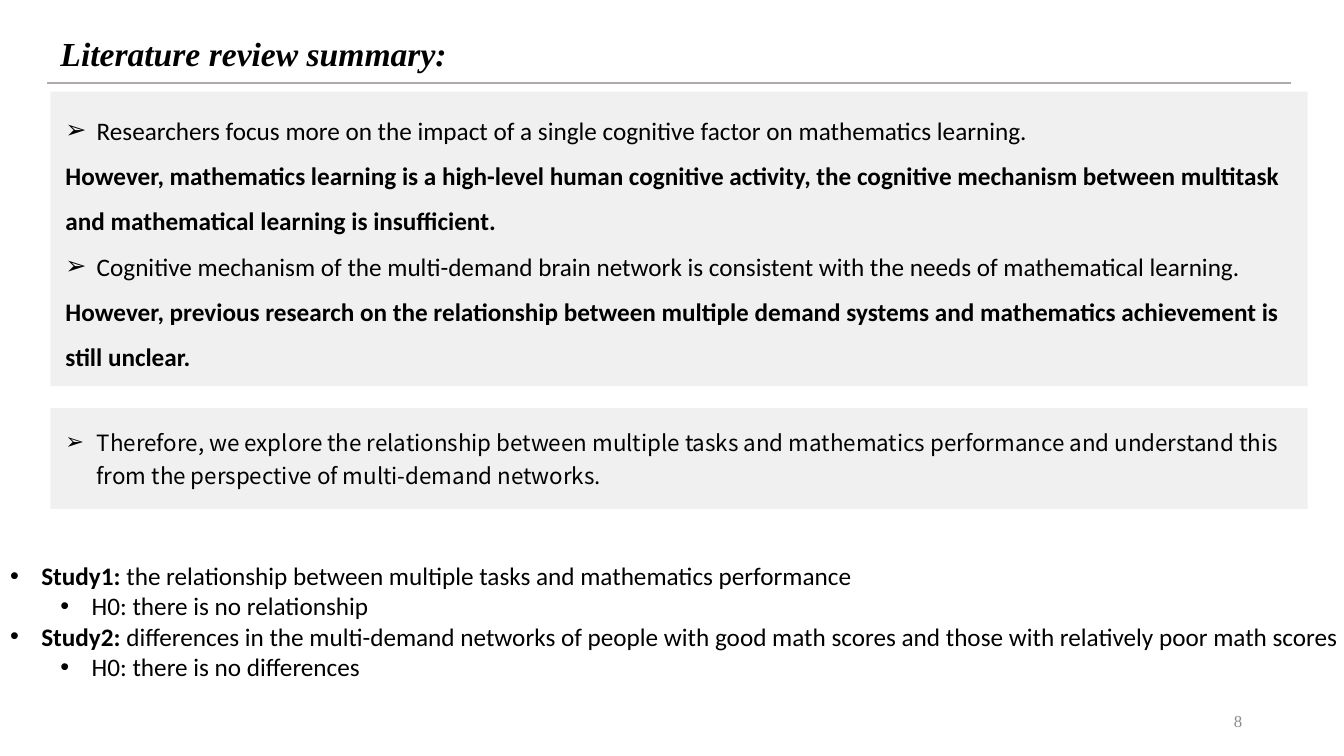
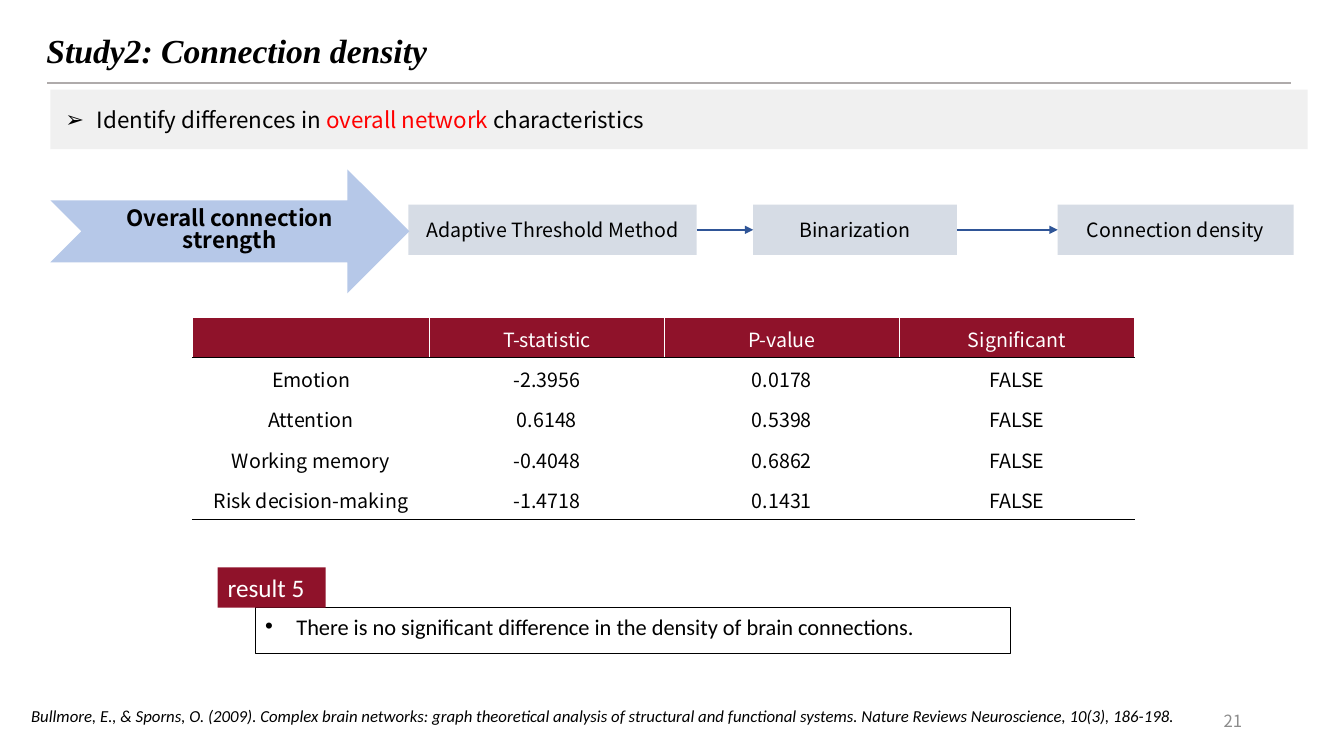
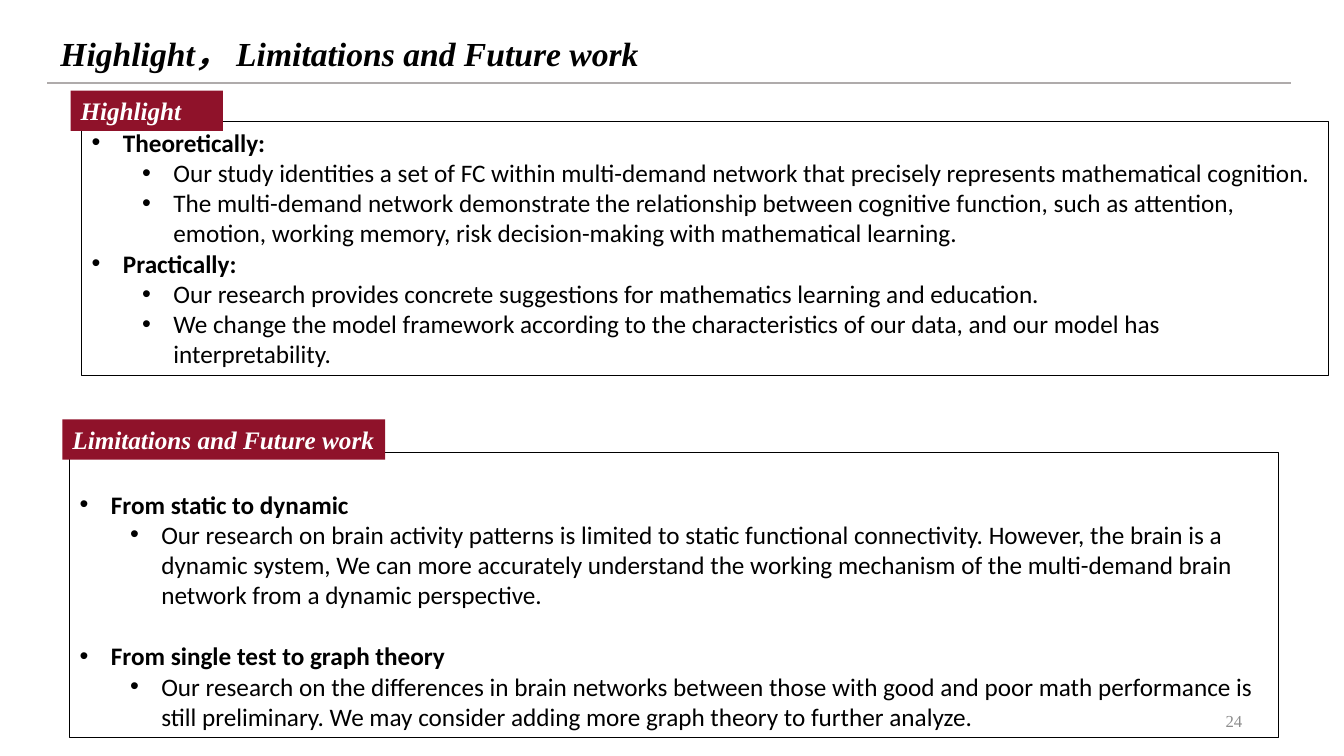
from dataclasses import dataclass, replace
from typing import NamedTuple, Optional

from lxml.etree import SubElement
from pptx import Presentation
from pptx.dml.color import RGBColor
from pptx.enum.shapes import MSO_CONNECTOR, MSO_SHAPE
from pptx.enum.text import MSO_ANCHOR, MSO_AUTO_SIZE, PP_ALIGN
from pptx.oxml.ns import qn
from pptx.util import Inches, Pt

BLACK, WHITE, RED = "000000", "FFFFFF", "FF0000"
CRIMSON, PANEL, STEP, ARROW = "8F122A", "F0F0F0", "D6DCE5", "B6C8E8"
RULE, LINK, PAGE = "AFABAB", "2F5597", "8C8C8C"
SERIF, SANS, NOTO = "Times New Roman", "Calibri", "Noto Sans CJK SC"
DOT, POINTER = "•", "➢"
HANGING = 0.31
BLANK_LINE = 22
TEXT_MARGINS = (0.1, 0.05, 0.1, 0.05)
LOWERED_MARGINS = (0.1, 0.36, 0.05, 0.05)
PANEL_MARGINS = (0.15, 0.09, 0.15, 0.15)
CELL_MARGINS = (0.01, 0.01, 0.01, 0.05)


class Box(NamedTuple):
    left: float
    top: float
    width: float
    height: float


@dataclass(frozen=True)
class Style:
    size: int
    font: str
    color: str = BLACK
    bold: bool = False
    italic: bool = False


class Fragment(NamedTuple):
    text: str
    bold: bool = False
    color: Optional[str] = None


@dataclass(frozen=True)
class Item:
    fragments: tuple[Fragment, ...]
    bullet: str = DOT
    level: int = 0
    space_before: int = 0


class Step(NamedTuple):
    text: str
    left: float
    width: float


TITLE = Style(24, SERIF, bold=True, italic=True)
BODY = Style(18, SANS)
SMALL_BODY = Style(16, SANS)
STATEMENT = Style(16, NOTO)
DETAIL = Style(14, NOTO)
SERIF_LABEL = Style(18, SERIF, WHITE, bold=True, italic=True)
PLAIN_LABEL = Style(18, SANS, WHITE)
REFERENCE = Style(12, SANS, italic=True)

FINDINGS = [
    Item((Fragment("Researchers focus more on the impact of a single cognitive factor on mathematics learning."),), POINTER),
    Item((Fragment("However, mathematics learning is a high-level human cognitive activity, the cognitive mechanism between multitask and mathematical learning is insufficient.", True),), ""),
    Item((Fragment("Cognitive mechanism of the multi-demand brain network is consistent with the needs of mathematical learning."),), POINTER),
    Item((Fragment("However, previous research on the relationship between multiple demand systems and mathematics achievement is still unclear.", True),), ""),
]
AIM = [Item((Fragment("Therefore, we explore the relationship between multiple tasks and mathematics performance and understand this from the perspective of multi-demand networks."),), POINTER)]
STUDIES = [
    Item((Fragment("Study1: ", True), Fragment("the relationship between multiple tasks and mathematics performance"))),
    Item((Fragment("H0: there is no relationship"),), level=1),
    Item((Fragment("Study2: ", True), Fragment("differences in the multi-demand networks of people with good math scores and those with relatively poor math scores"))),
    Item((Fragment("H0: there is no differences"),), level=1),
]
GOAL = [Item((Fragment("Identify differences in "), Fragment("overall network", color=RED), Fragment(" characteristics")), POINTER)]
STEPS = [
    Step("Adaptive Threshold Method", 4.05, 2.86),
    Step("Binarization", 7.47, 2.02),
    Step("Connection density", 10.49, 2.34),
]
DENSITY_ROWS = [
    ("", "T-statistic", "P-value", "Significant"),
    ("Emotion", "-2.3956", "0.0178", "FALSE"),
    ("Attention", "0.6148", "0.5398", "FALSE"),
    ("Working memory", "-0.4048", "0.6862", "FALSE"),
    ("Risk decision-making", "-1.4718", "0.1431", "FALSE"),
]
RESULT = [Item((Fragment("There is no significant difference in the density of brain connections."),))]
CITATION = "Bullmore, E., & Sporns, O. (2009). Complex brain networks: graph theoretical analysis of structural and functional systems. Nature Reviews Neuroscience, 10(3), 186-198."
HIGHLIGHTS = [
    Item((Fragment("Theoretically:", True),)),
    Item((Fragment("Our study identities a set of FC within multi-demand network that precisely represents mathematical cognition."),), level=1),
    Item((Fragment("The multi-demand network demonstrate the relationship between cognitive function, such as attention, emotion, working memory, risk decision-making with mathematical learning."),), level=1),
    Item((Fragment("Practically:", True),)),
    Item((Fragment("Our research provides concrete suggestions for mathematics learning and education."),), level=1),
    Item((Fragment("We change the model framework according to the characteristics of our data, and our model has interpretability."),), level=1),
]
LIMITATIONS = [
    Item((Fragment("From static to dynamic", True),)),
    Item((Fragment("Our research on brain activity patterns is\u00a0 limited to\u00a0 static functional connectivity. However, the brain is a dynamic system, We can more accurately understand the working mechanism of the multi-demand brain network from a dynamic perspective.".replace("\u00a0 ", " ")),), level=1),
    Item((Fragment("From single test to graph theory", True),), space_before=BLANK_LINE),
    Item((Fragment("Our research on the differences in brain networks between those with good and poor math performance is still preliminary. We may consider adding more graph theory to further analyze."),), level=1),
]


def rgb(color: str) -> RGBColor:
    return RGBColor.from_string(color)


def place(shape, box: Box) -> None:
    shape.left, shape.top, shape.width, shape.height = map(Inches, box)


def set_margins(target, margins: tuple) -> None:
    target.margin_left, target.margin_top, target.margin_right, target.margin_bottom = map(Inches, margins)


def prepare_frame(shape, anchor=MSO_ANCHOR.MIDDLE, margins: tuple = TEXT_MARGINS):
    text_frame = shape.text_frame
    text_frame.word_wrap = True
    text_frame.auto_size = MSO_AUTO_SIZE.NONE
    text_frame.vertical_anchor = anchor
    set_margins(text_frame, margins)
    return text_frame


def format_run(run, style: Style) -> None:
    run.font.size = Pt(style.size)
    run.font.name = style.font
    run.font.bold = style.bold
    run.font.italic = style.italic
    run.font.color.rgb = rgb(style.color)


def write_line(text_frame, text: str, style: Style, align=PP_ALIGN.LEFT, spacing: float = 1.0) -> None:
    text_frame.text = text
    paragraph = text_frame.paragraphs[0]
    paragraph.alignment = align
    paragraph.line_spacing = spacing
    for run in paragraph.runs:
        format_run(run, style)


def write_items(text_frame, items: list[Item], style: Style, spacing: float = 1.0) -> None:
    for index, item in enumerate(items):
        paragraph = text_frame.paragraphs[0] if index == 0 else text_frame.add_paragraph()
        paragraph.level = item.level
        paragraph.alignment = PP_ALIGN.LEFT
        properties = paragraph._p.get_or_add_pPr()
        if item.bullet:
            properties.set("marL", str(Inches(HANGING + 0.5 * item.level)))
            properties.set("indent", str(-Inches(HANGING)))
            SubElement(properties, qn("a:buFont")).set("typeface", "Arial")
            SubElement(properties, qn("a:buChar")).set("char", item.bullet)
        paragraph.line_spacing = spacing
        paragraph.space_before = Pt(item.space_before)
        for fragment in item.fragments:
            run = paragraph.add_run()
            run.text = fragment.text
            format_run(run, replace(style, bold=fragment.bold, color=fragment.color or style.color))


def add_filled_shape(slide, preset, box: Box, fill: str):
    shape = slide.shapes.add_shape(preset, *map(Inches, box))
    shape.shadow.inherit = False
    shape.fill.solid()
    shape.fill.fore_color.rgb = rgb(fill)
    shape.line.fill.background()
    return shape


def add_line(slide, left: float, right: float, height: float, color: str):
    connector = slide.shapes.add_connector(
        MSO_CONNECTOR.STRAIGHT, Inches(left), Inches(height), Inches(right), Inches(height))
    connector.line.color.rgb = rgb(color)
    connector.line.width = Pt(1.5)
    SubElement(connector._element.spPr, qn("a:effectLst"))
    return connector


def add_master_rule(presentation, slide) -> None:
    rule = add_line(slide, 0.47, 12.8, 0.82, RULE)
    presentation.slide_master.shapes._spTree.append(rule._element)


def start_slide(presentation, layout: int, title: str, number: int, title_box: Box = Box(0.5, 0.28, 11.65, 0.55), page_font: str = SERIF):
    slide = presentation.slides.add_slide(presentation.slide_layouts[layout])
    place(slide.shapes.title, title_box)
    write_line(prepare_frame(slide.shapes.title), title, TITLE, spacing=0.9)
    add_text(slide, Box(9.42, 6.95, 3, 0.4), str(number), Style(12, page_font, PAGE), PP_ALIGN.RIGHT)
    return slide


def add_text(slide, box: Box, text: str, style: Style, align=PP_ALIGN.LEFT) -> None:
    shape = slide.shapes.add_textbox(*map(Inches, box))
    write_line(prepare_frame(shape), text, style, align)


def add_panel(slide, box: Box, items: list[Item], style: Style, spacing: float) -> None:
    panel = add_filled_shape(slide, MSO_SHAPE.RECTANGLE, box, PANEL)
    write_items(prepare_frame(panel, margins=PANEL_MARGINS), items, style, spacing)


def add_label(slide, box: Box, text: str, style: Style) -> None:
    label = add_filled_shape(slide, MSO_SHAPE.RECTANGLE, box, CRIMSON)
    write_line(prepare_frame(label, MSO_ANCHOR.TOP), text, style)


def fill_list(slide, index: int, box: Box, items: list[Item], style: Style = BODY, margins: tuple = TEXT_MARGINS, outlined: bool = True) -> None:
    body = slide.placeholders[index]
    place(body, box)
    if outlined:
        body.line.color.rgb = rgb(BLACK)
        body.line.width = Pt(0.75)
    write_items(prepare_frame(body, MSO_ANCHOR.TOP, margins), items, style)


def add_steps(slide) -> None:
    previous = None
    for step in STEPS:
        shape = add_filled_shape(slide, MSO_SHAPE.RECTANGLE, Box(step.left, 2.03, step.width, 0.5), STEP)
        write_line(prepare_frame(shape), step.text, DETAIL, PP_ALIGN.CENTER)
        if previous is not None:
            link = add_line(slide, 0, 1, 2.28, LINK)
            link.begin_connect(previous, 3)
            link.end_connect(shape, 1)
            SubElement(link.line._get_or_add_ln(), qn("a:tailEnd")).set("type", "triangle")
        previous = shape


def set_border(cell, side: str, color: str) -> None:
    line = SubElement(cell._tc.get_or_add_tcPr(), qn(f"a:{side}"), w=str(Pt(1)))
    fill = SubElement(line, qn("a:solidFill"))
    SubElement(fill, qn("a:srgbClr")).set("val", color)


def add_density_table(slide) -> None:
    row_count, column_count = len(DENSITY_ROWS), len(DENSITY_ROWS[0])
    table = slide.shapes.add_table(
        row_count, column_count, *map(Inches, Box(1.91, 3.15, 9.34, 0.4 * row_count))).table
    for index, column in enumerate(table.columns):
        column.width = Inches(2.33 if index else 2.35)
    ruled_rows = (0, row_count - 1)
    for row_index, values in enumerate(DENSITY_ROWS):
        header = row_index == 0
        for column_index, value in enumerate(values):
            cell = table.cell(row_index, column_index)
            set_margins(cell, CELL_MARGINS)
            cell.vertical_anchor = MSO_ANCHOR.BOTTOM
            write_line(cell.text_frame, value, replace(DETAIL, color=WHITE if header else BLACK), PP_ALIGN.CENTER)
            set_border(cell, "lnL", WHITE)
            set_border(cell, "lnR", WHITE)
            set_border(cell, "lnT", BLACK if row_index - 1 in ruled_rows else WHITE)
            set_border(cell, "lnB", BLACK if row_index in ruled_rows else WHITE)
            cell.fill.solid()
            cell.fill.fore_color.rgb = rgb(CRIMSON if header else WHITE)


def build_review_slide(presentation) -> None:
    slide = start_slide(presentation, 1, "Literature review summary:", 8)
    add_panel(slide, Box(0.5, 0.91, 12.47, 2.92), FINDINGS, BODY, 1.5)
    add_panel(slide, Box(0.5, 4.05, 12.47, 1), AIM, STATEMENT, 1.25)
    fill_list(slide, 1, Box(0, 5.2, 13.33, 1.62), STUDIES, margins=LOWERED_MARGINS, outlined=False)


def build_density_slide(presentation) -> None:
    slide = start_slide(presentation, 1, "Study2: Connection density", 21, Box(0.36, 0.25, 8.13, 0.55), NOTO)
    add_steps(slide)
    add_panel(slide, Box(0.5, 0.89, 12.47, 0.59), GOAL, STATEMENT, 1.25)
    arrow = add_filled_shape(slide, MSO_SHAPE.NOTCHED_RIGHT_ARROW, Box(0.5, 1.68, 3.56, 1.23), ARROW)
    write_line(prepare_frame(arrow), "Overall connection strength", replace(STATEMENT, bold=True), PP_ALIGN.CENTER, 0.8)
    add_density_table(slide)
    add_label(slide, Box(2.16, 5.63, 1.07, 0.4), "result 5", PLAIN_LABEL)
    fill_list(slide, 1, Box(2.53, 6.03, 7.49, 0.45), RESULT, SMALL_BODY)
    add_text(slide, Box(0.21, 6.95, 11.93, 0.3), CITATION, REFERENCE)


def build_outlook_slide(presentation):
    slide = start_slide(presentation, 3, "Highlight， Limitations and Future work", 24)
    fill_list(slide, 1, Box(0.81, 1.21, 12.37, 2.52), HIGHLIGHTS)
    fill_list(slide, 2, Box(0.69, 4.49, 11.99, 2.83), LIMITATIONS, margins=LOWERED_MARGINS)
    add_label(slide, Box(0.7, 0.9, 1.51, 0.4), "Highlight", SERIF_LABEL)
    add_label(slide, Box(0.62, 4.16, 3.2, 0.4), "Limitations and Future work", SERIF_LABEL)
    return slide


def main() -> None:
    presentation = Presentation()
    presentation.slide_width = Inches(13.33)
    presentation.slide_height = Inches(7.5)
    build_review_slide(presentation)
    build_density_slide(presentation)
    outlook_slide = build_outlook_slide(presentation)
    add_master_rule(presentation, outlook_slide)
    presentation.save("out.pptx")


if __name__ == "__main__":
    main()
